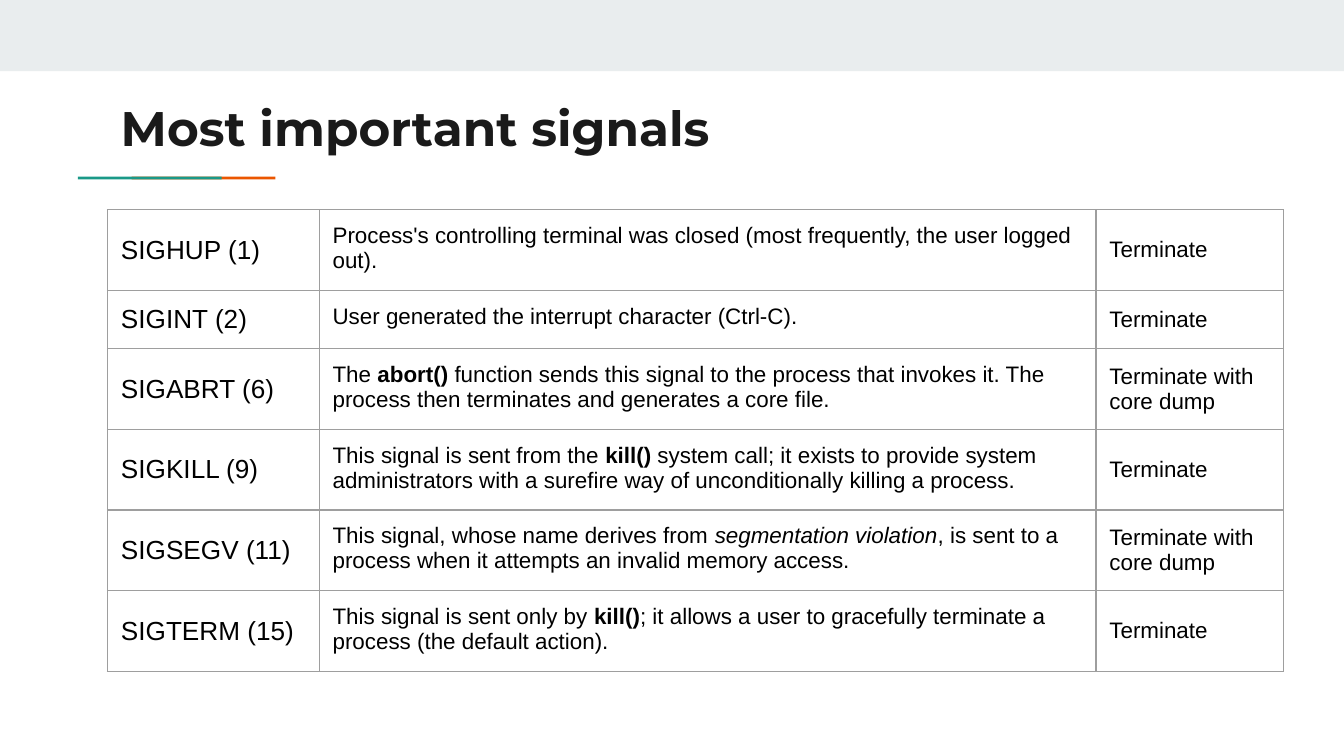
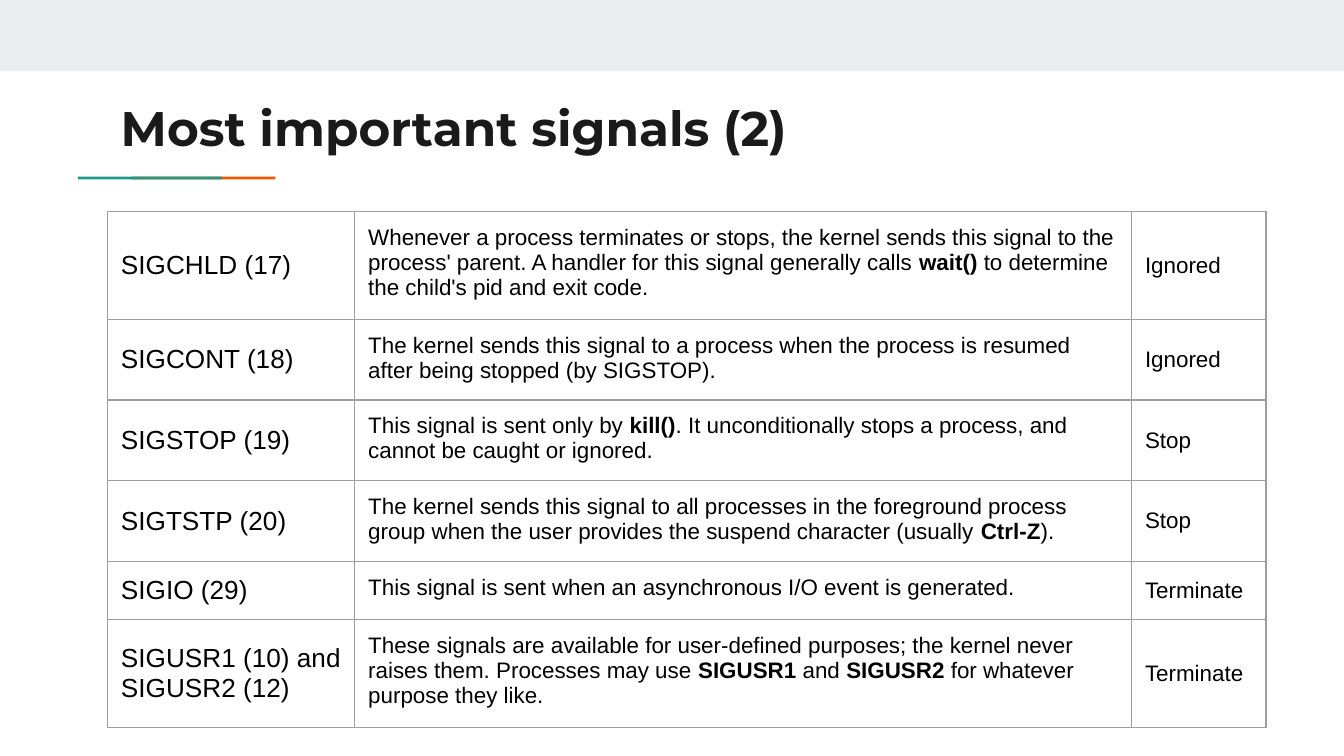
from dataclasses import dataclass
from typing import NamedTuple

from lxml import etree
from pptx import Presentation
from pptx.dml.color import RGBColor
from pptx.enum.shapes import MSO_SHAPE
from pptx.enum.text import MSO_ANCHOR
from pptx.oxml.ns import qn
from pptx.util import Inches, Length, Pt

RECTANGLE = MSO_SHAPE.RECTANGLE
TOP, MIDDLE = MSO_ANCHOR.TOP, MSO_ANCHOR.MIDDLE

# Shared look
BAND_GREY = RGBColor(0xE9, 0xED, 0xEE)
ORANGE = RGBColor(0xEB, 0x56, 0x00)
TEAL = RGBColor(0x1A, 0x99, 0x88)
TITLE_INK = RGBColor(0x1A, 0x1A, 0x1A)
BODY_INK = RGBColor(0x00, 0x00, 0x00)
BORDER_GREY = RGBColor(0x9E, 0x9E, 0x9E)
TITLE_FONT, BODY_FONT = "Montserrat", "Arial"
TITLE_SIZE, NAME_SIZE, BODY_SIZE = 26, 14, 12
BORDER_WIDTH = Pt(0.75)
PADDING = Inches(0.1)

# Grid of 0.1 inch squares
COLUMNS, ROWS = 100, 56.25
LEFT_COLUMN = 8
ROW_HEIGHTS = (4.2, 4.2, 4.2, 4.3, 4.3, 4.3)


def grid(count: float) -> Length:
    return Inches(count / 10)


class Block(NamedTuple):
    left: float
    top: float
    width: float
    height: float
    color: RGBColor


class Span(NamedTuple):
    text: str
    bold: bool = False
    italic: bool = False


@dataclass(frozen=True)
class Signal:
    name: str
    meaning: tuple[Span, ...]
    action: str


@dataclass(frozen=True)
class SignalPage:
    title: str
    table_top: float
    table_height: float
    column_widths: tuple[float, ...]
    signals: tuple[Signal, ...]


# The teal accent overlaps the orange one
DECORATION = (
    Block(0, 0, COLUMNS, 5.3, BAND_GREY),
    Block(9.8, 13.15, 10.7, 0.2, ORANGE),
    Block(5.8, 13.15, 10.7, 0.2, TEAL),
)

PAGES = (
    SignalPage("Most important signals", 15.6, 34.3, (15.75, 57.8, 13.95), (
        Signal("SIGHUP (1)", (
            Span("Process's controlling terminal was closed (most frequently, "
                 "the user logged out)."),), "Terminate"),
        Signal("SIGINT (2)", (
            Span("User generated the interrupt character (Ctrl-C)."),), "Terminate"),
        Signal("SIGABRT (6)", (
            Span("The "), Span("abort()", bold=True),
            Span(" function sends this signal to the process that invokes it. "
                 "The process then terminates and generates a core file.")),
            "Terminate with core dump"),
        Signal("SIGKILL (9)", (
            Span("This signal is sent from the "), Span("kill()", bold=True),
            Span(" system call; it exists to provide system administrators with "
                 "a surefire way of unconditionally killing a process.")), "Terminate"),
        Signal("SIGSEGV (11)", (
            Span("This signal, whose name derives from "),
            Span("segmentation violation", italic=True),
            Span(", is sent to a process when it attempts an invalid memory access.")),
            "Terminate with core dump"),
        Signal("SIGTERM (15)", (
            Span("This signal is sent only by "), Span("kill()", bold=True),
            Span("; it allows a user to gracefully terminate a process "
                 "(the default action).")), "Terminate"),
    )),
    SignalPage("Most important signals (2)", 15.75, 38.3, (18.4, 57.8, 10), (
        Signal("SIGCHLD (17)", (
            Span("Whenever a process terminates or stops, the kernel sends this "
                 "signal to the process' parent. A handler for this signal "
                 "generally calls "), Span("wait()", bold=True),
            Span(" to determine the child's pid and exit code.")), "Ignored"),
        Signal("SIGCONT (18)", (
            Span("The kernel sends this signal to a process when the process is "
                 "resumed after being stopped (by SIGSTOP)."),), "Ignored"),
        Signal("SIGSTOP (19)", (
            Span("This signal is sent only by "), Span("kill()", bold=True),
            Span(". It unconditionally stops a process, and cannot be caught "
                 "or ignored.")), "Stop"),
        Signal("SIGTSTP (20)", (
            Span("The kernel sends this signal to all processes in the foreground "
                 "process group when the user provides the suspend character "
                 "(usually "), Span("Ctrl-Z", bold=True), Span(").")), "Stop"),
        Signal("SIGIO (29)", (
            Span("This signal is sent when an asynchronous I/O event is "
                 "generated."),), "Terminate"),
        Signal("SIGUSR1 (10) and SIGUSR2 (12)", (
            Span("These signals are available for user-defined purposes; the "
                 "kernel never raises them. Processes may use "),
            Span("SIGUSR1", bold=True), Span(" and "), Span("SIGUSR2", bold=True),
            Span(" for whatever purpose they like.")), "Terminate"),
    )),
)


def write_spans(para, spans: tuple[Span, ...], font: str, size: float,
                color: RGBColor) -> None:
    for span in spans:
        run = para.add_run()
        run.text = span.text
        run.font.name = font
        run.font.size = Pt(size)
        run.font.color.rgb = color
        run.font.bold = span.bold
        run.font.italic = span.italic


def set_padding(holder) -> None:
    holder.margin_left = holder.margin_right = PADDING
    holder.margin_top = holder.margin_bottom = PADDING


def draw_block(page, block: Block) -> None:
    shape = page.shapes.add_shape(
        RECTANGLE, grid(block.left), grid(block.top),
        grid(block.width), grid(block.height))
    shape.shadow.inherit = False
    shape.fill.solid()
    shape.fill.fore_color.rgb = block.color
    shape.line.fill.background()


def draw_title(page, title: str) -> None:
    box = page.shapes.add_textbox(
        grid(LEFT_COLUMN), grid(6.3), grid(84.1), grid(5.9))
    frame = box.text_frame
    frame.word_wrap = True
    frame.vertical_anchor = TOP
    set_padding(frame)
    write_spans(frame.paragraphs[0], (Span(title, bold=True),),
                TITLE_FONT, TITLE_SIZE, TITLE_INK)


def set_borders(cell) -> None:
    properties = cell._tc.get_or_add_tcPr()
    for side in ("a:lnL", "a:lnR", "a:lnT", "a:lnB"):
        line = etree.SubElement(properties, qn(side), w=str(BORDER_WIDTH))
        fill = etree.SubElement(line, qn("a:solidFill"))
        etree.SubElement(fill, qn("a:srgbClr"), val=str(BORDER_GREY))


def fill_cell(cell, spans: tuple[Span, ...], size: float, anchor) -> None:
    set_padding(cell)
    cell.vertical_anchor = anchor
    set_borders(cell)
    cell.fill.background()
    write_spans(cell.text_frame.paragraphs[0], spans, BODY_FONT, size, BODY_INK)


def draw_signal_table(page, content: SignalPage) -> None:
    holder = page.shapes.add_table(
        len(content.signals), len(content.column_widths),
        grid(LEFT_COLUMN), grid(content.table_top),
        grid(sum(content.column_widths)), grid(content.table_height))
    table = holder.table
    table.first_row = table.horz_banding = False
    for column, width in zip(table.columns, content.column_widths):
        column.width = grid(width)
    for row, height, signal in zip(table.rows, ROW_HEIGHTS, content.signals):
        row.height = grid(height)
        name, meaning, action = row.cells
        fill_cell(name, (Span(signal.name),), NAME_SIZE, MIDDLE)
        fill_cell(meaning, signal.meaning, BODY_SIZE, TOP)
        fill_cell(action, (Span(signal.action),), BODY_SIZE, MIDDLE)
    # Rows grow with their text, so the frame is taller than their minimum sum
    holder.height = grid(content.table_height)


def main() -> None:
    deck = Presentation()
    deck.slide_width, deck.slide_height = grid(COLUMNS), grid(ROWS)
    blank = deck.slide_layouts[6]
    for content in PAGES:
        page = deck.slides.add_slide(blank)
        for block in DECORATION:
            draw_block(page, block)
        draw_title(page, content.title)
        draw_signal_table(page, content)
    deck.save("out.pptx")


if __name__ == "__main__":
    main()
